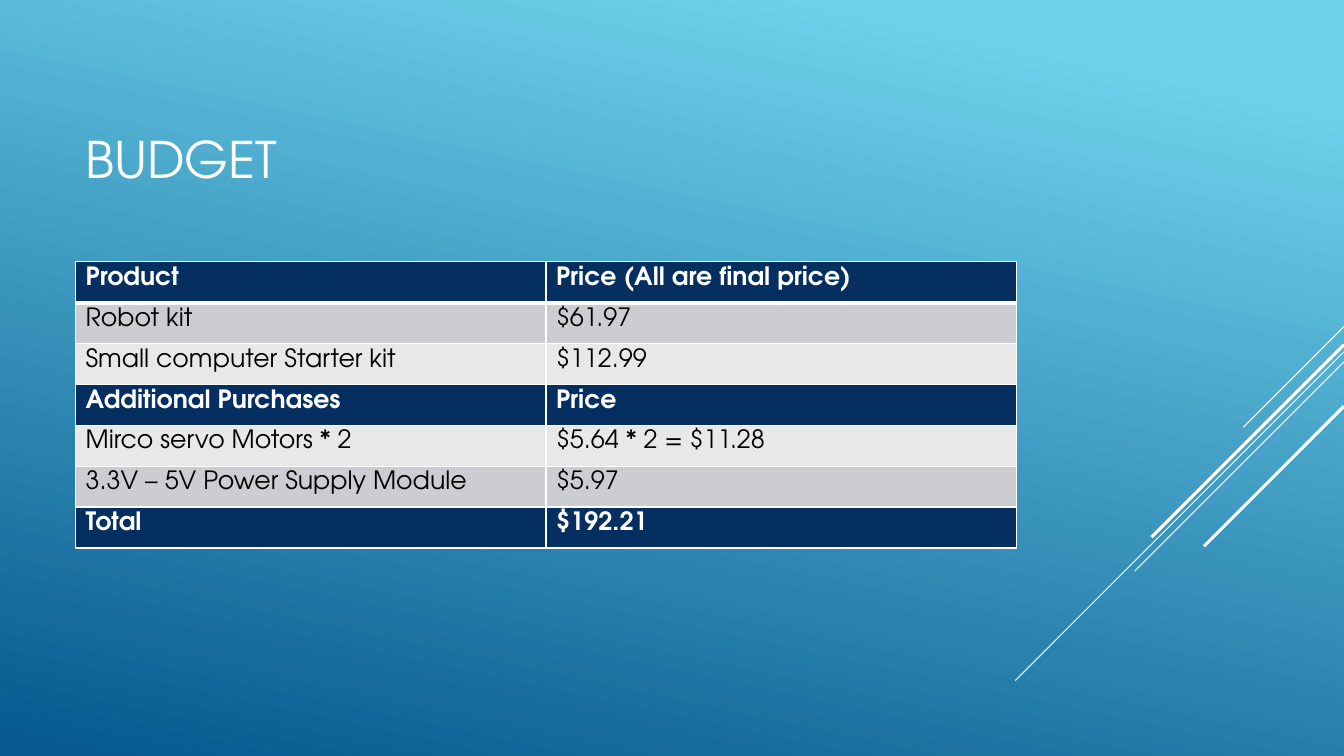
import pptx
import pptx.util
import pptx.dml.color
import pptx.enum.shapes
import pptx.enum.text
import pptx.oxml
from pptx.oxml.ns import qn
from lxml import etree

Pt = pptx.util.Pt
FONT = "TeX Gyre Adventor"
WHITE, BLACK, NAVY, GRAY, PALE = "FFFFFF", "000000", "052F61", "CCCDD2", "E7E8EA"


def color(hex_string):
    return pptx.dml.color.RGBColor.from_string(hex_string)


def add_run(paragraph, text, size, hex_string, bold=False):
    run = paragraph.add_run()
    run.text = text
    run.font.name = FONT
    run.font.size = Pt(size)
    run.font.bold = bold
    run.font.color.rgb = color(hex_string)


deck = pptx.Presentation()
deck.slide_width, deck.slide_height = Pt(960), Pt(540)
slide = deck.slides.add_slide(deck.slide_layouts[6])

# Background gradient
backdrop = slide.background.fill
backdrop.gradient()
backdrop.gradient_angle = 360 - 102
for stop, (position, shade) in zip(backdrop.gradient_stops, [(0.1, "6ED2EB"), (1, "06588E")]):
    stop.position = position
    stop.color.rgb = color(shade)

# Diagonal rays at 45 degrees from the right edge: start height, reach, weight
for start, reach, weight in [(233.3, 72, 0.75), (251.3, 234.7, 0.75), (258.5, 149.4, 0.75),
                             (246.2, 137.5, 2.25), (290.2, 100.1, 2.25)]:
    ray = slide.shapes.add_connector(pptx.enum.shapes.MSO_CONNECTOR.STRAIGHT,
                                     Pt(960), Pt(start), Pt(960 - reach), Pt(start + reach))
    ray.line.color.rgb = color(WHITE)
    ray.line.width = Pt(weight)
    etree.SubElement(ray._element.spPr, qn("a:effectLst"))

# Title
title = slide.shapes.add_textbox(Pt(54), Pt(54), Pt(672), Pt(118.8)).text_frame
title.word_wrap = True
title.vertical_anchor = pptx.enum.text.MSO_ANCHOR.MIDDLE
add_run(title.paragraphs[0], "BUDGET", 36, WHITE)

# Budget table
budget_rows = [
    ("Product", "Price (All are final price)", NAVY),
    ("Robot kit", "$61.97", GRAY),
    ("Small computer Starter kit", "$112.99", PALE),
    ("Additional Purchases", "Price", NAVY),
    ("Mirco servo Motors * 2", "$5.64 * 2 = $11.28", PALE),
    ("3.3V – 5V Power Supply Module", "$5.97", GRAY),
    ("Total", "$192.21", NAVY),
]
row_height = 29.2
budget = slide.shapes.add_table(len(budget_rows), 2, Pt(54), Pt(187),
                                Pt(672), Pt(row_height * len(budget_rows))).table
for row_index, (item, price, fill) in enumerate(budget_rows):
    budget.rows[row_index].height = Pt(row_height)
    heading = fill == NAVY
    for column_index, text in enumerate((item, price)):
        cell = budget.cell(row_index, column_index)
        add_run(cell.text_frame.paragraphs[0], text, 18, WHITE if heading else BLACK, heading)

        # White borders, thicker under the header row
        borders = {"lnL": 1, "lnR": 1,
                   "lnT": 3 if row_index == 1 else 1,
                   "lnB": 3 if row_index == 0 else 1}
        for side, weight in borders.items():
            border = etree.SubElement(cell._tc.get_or_add_tcPr(), qn("a:" + side), w=str(Pt(weight)))
            etree.SubElement(etree.SubElement(border, qn("a:solidFill")), qn("a:srgbClr"), val=WHITE)
        cell.fill.solid()
        cell.fill.fore_color.rgb = color(fill)

deck.save("out.pptx")
